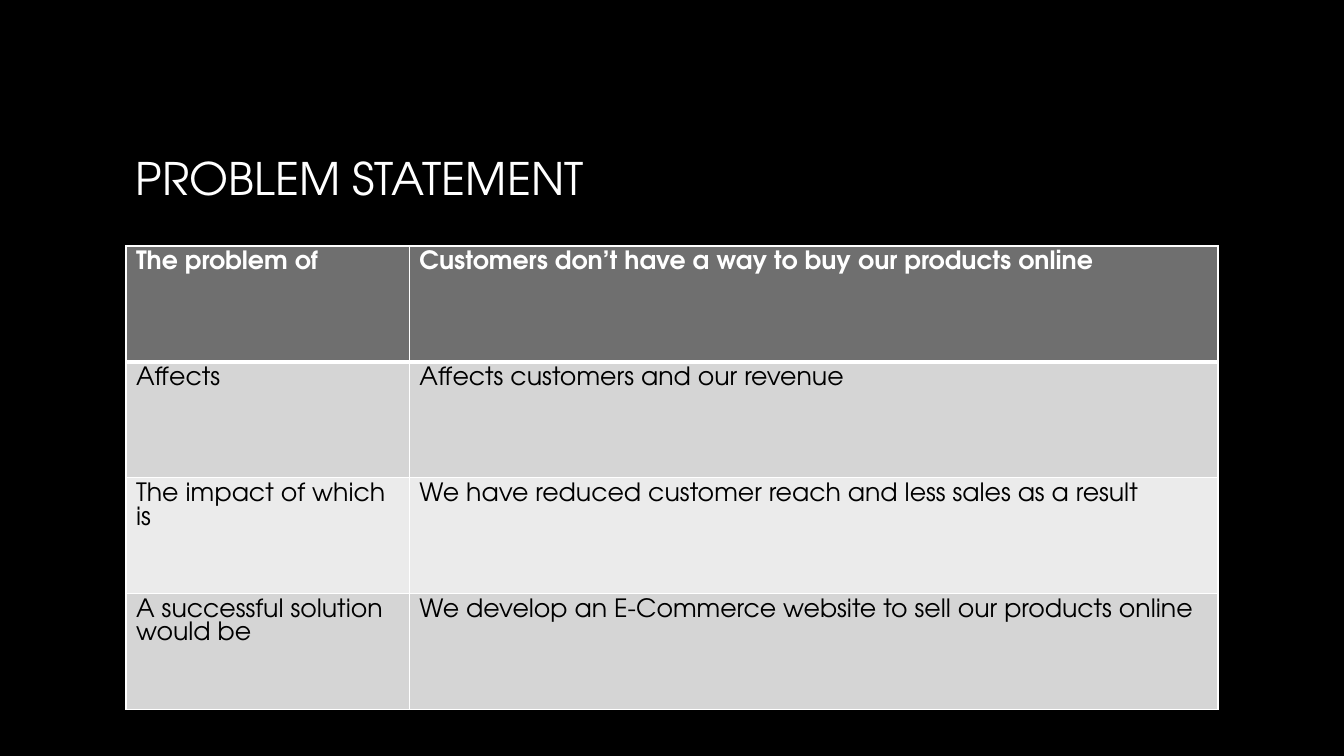
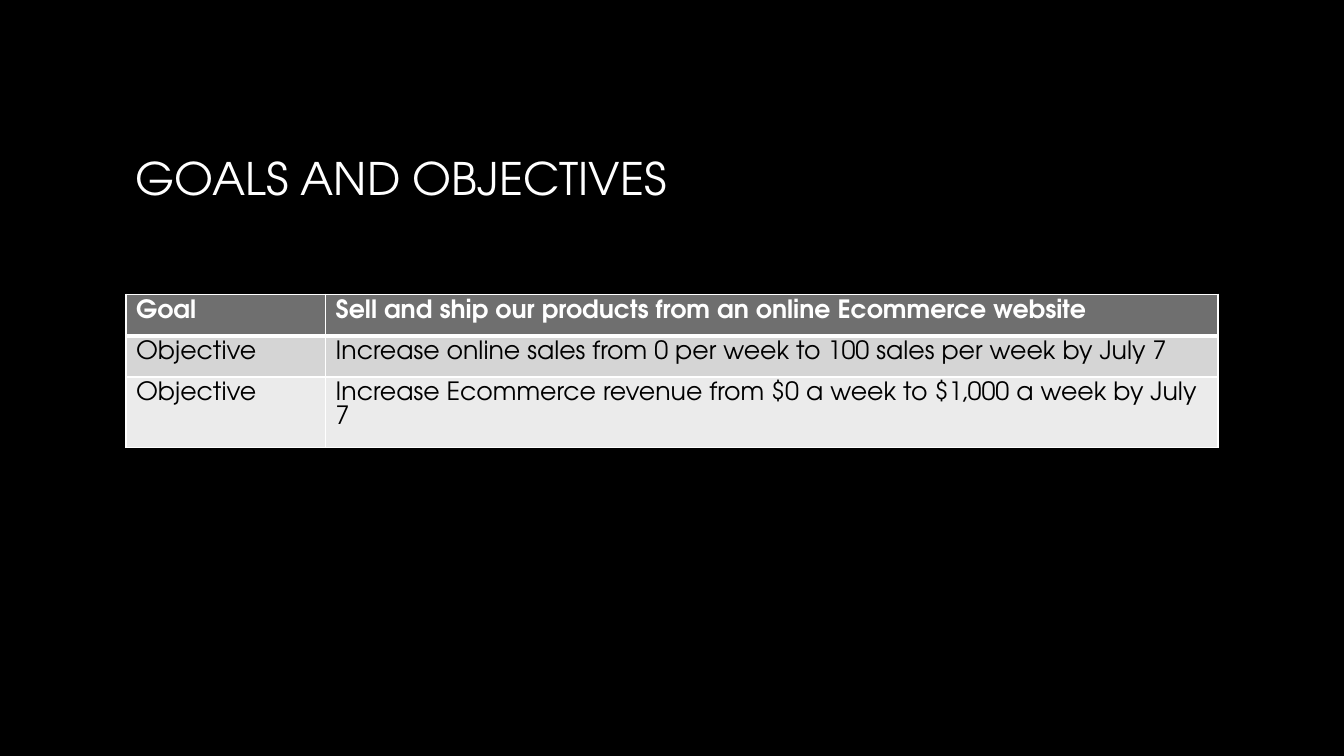
import pptx
import pptx.dml.color
import pptx.enum.text
import pptx.oxml
import pptx.oxml.ns
import pptx.util

PX = 9144  # EMU in one px, 100 px to the inch
SLIDE_SIZE = (1333, 750)
FONT = "TeX Gyre Adventor"
COLORS = {
    "background": "000000",
    "title start": "FFFFFF",
    "title end": "A6A6A6",
    "border": "FFFFFF",
    "header fill": "6F6F6F",
    "header text": "FFFFFF",
    "body text": "000000",
    "odd row": "D5D5D5",
    "even row": "EBEBEB",
}
LEFT, WIDTH = 125, 1083
TITLE_TOP, TITLE_HEIGHT = 67, 208
TITLE_ANGLE = 267
TITLE_FRAME = {
    "word_wrap": True,
    "vertical_anchor": pptx.enum.text.MSO_ANCHOR.MIDDLE,
    "margin_top": 15 * PX,
    "margin_bottom": 5 * PX,
}
TITLE_FONT = {"name": FONT, "size": pptx.util.Pt(32)}
CELL_FONT = {"name": FONT, "size": pptx.util.Pt(18)}
THIN, THICK = 1, 3

SLIDES = [
    {
        "title": "PROBLEM STATEMENT",
        "top": 244,
        "row height": 115,
        "first column": 281,
        "rows": [
            ("The problem of", "Customers don’t have a way to buy our products online"),
            ("Affects", "Affects customers and our revenue"),
            ("The impact of which is", "We have reduced customer reach and less sales as a result"),
            ("A successful solution would be",
             "We develop an E-Commerce website to sell our products online"),
        ],
    },
    {
        "title": "GOALS AND OBJECTIVES",
        "top": 292,
        "row height": 41,
        "first column": 198,
        "rows": [
            ("Goal", "Sell and ship our products from an online Ecommerce website"),
            ("Objective", "Increase online sales from 0 per week to 100 sales per week by July 7"),
            ("Objective", "Increase Ecommerce revenue from $0 a week to $1,000 a week by July 7"),
        ],
    },
]


def rgb(name):
    return pptx.dml.color.RGBColor.from_string(COLORS[name])


def set_attributes(target, values):
    for name, value in values.items():
        setattr(target, name, value)


def paint(fill, color):
    fill.solid()
    fill.fore_color.rgb = rgb(color)


def add_title(page, text):
    box = page.shapes.add_textbox(LEFT * PX, TITLE_TOP * PX, WIDTH * PX, TITLE_HEIGHT * PX)
    set_attributes(box.text_frame, TITLE_FRAME)
    span = box.text_frame.paragraphs[0].add_run()
    span.text = text
    set_attributes(span.font, TITLE_FONT)
    span.font.fill.gradient()
    span.font.fill.gradient_angle = TITLE_ANGLE
    for stop, color in zip(span.font.fill.gradient_stops, ("title start", "title end")):
        stop.color.rgb = rgb(color)


def add_borders(cell, widths):
    """Draw the cell's sides; must come before its fill, as the schema orders them."""
    properties = cell._tc.get_or_add_tcPr()
    for side, points in widths.items():
        properties.append(pptx.oxml.parse_xml(
            f'<a:ln{side} {pptx.oxml.ns.nsdecls("a")} w="{pptx.util.Pt(points)}">'
            f'<a:solidFill><a:srgbClr val="{COLORS["border"]}"/></a:solidFill>'
            f'</a:ln{side}>'))


def format_cell(cell, text, row):
    header = row == 0
    add_borders(cell, {
        "L": THIN,
        "R": THIN,
        "T": THICK if row == 1 else THIN,
        "B": THICK if header else THIN,
    })
    paint(cell.fill, "header fill" if header else "odd row" if row % 2 else "even row")
    span = cell.text_frame.paragraphs[0].add_run()
    span.text = text
    set_attributes(span.font, {**CELL_FONT, "bold": header})
    span.font.color.rgb = rgb("header text" if header else "body text")


def add_statement_table(page, content):
    rows = content["rows"]
    height = content["row height"] * PX
    columns = (content["first column"], WIDTH - content["first column"])
    table = page.shapes.add_table(len(rows), len(columns), LEFT * PX, content["top"] * PX,
                                  WIDTH * PX, height * len(rows)).table
    for column, width in zip(table.columns, columns):
        column.width = width * PX
    for row, texts in enumerate(rows):
        table.rows[row].height = height
        for column, text in enumerate(texts):
            format_cell(table.cell(row, column), text, row)


def main():
    deck = pptx.Presentation()
    deck.slide_width, deck.slide_height = (side * PX for side in SLIDE_SIZE)
    paint(deck.slide_master.background.fill, "background")
    for content in SLIDES:
        page = deck.slides.add_slide(deck.slide_layouts[6])
        add_title(page, content["title"])
        add_statement_table(page, content)
    deck.save("out.pptx")


if __name__ == "__main__":
    main()
